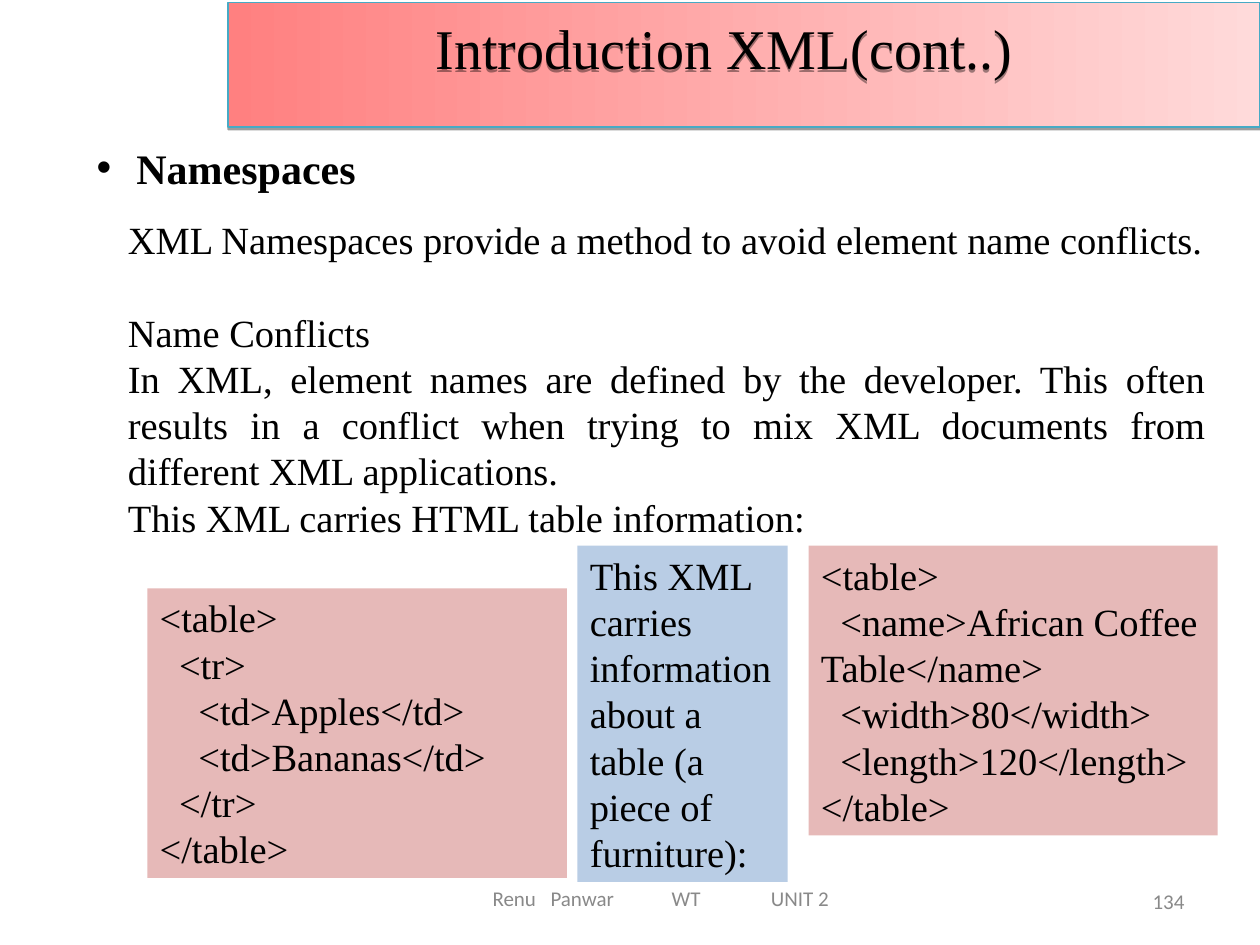
from lxml import etree
from pptx import Presentation
from pptx import util as u
from pptx.dml.color import RGBColor
from pptx.enum import shapes, text
from pptx.oxml.ns import qn

SERIF, SANS = "Times New Roman", "Calibri"
COLORS = {
    "ink": "000000", "muted": "898989", "pink": "E6B9B8", "blue": "B9CDE5",
    "banner_from": "FF8080", "banner_to": "FFDADA", "banner_edge": "46AAC5",
}
LEFT, CENTER, RIGHT, JUSTIFY = (text.PP_ALIGN.LEFT, text.PP_ALIGN.CENTER,
                                text.PP_ALIGN.RIGHT, text.PP_ALIGN.JUSTIFY)

TITLE = "Introduction XML(cont..)"
TOPIC = "Namespaces"
BODY = [
    ("XML Namespaces provide a method to avoid element name conflicts.", LEFT),
    ("Name Conflicts", JUSTIFY),
    ("In XML, element names are defined by the developer. This often results in "
     "a conflict when trying to mix XML documents from different XML applications.",
     JUSTIFY),
    ("This XML carries HTML table information:", JUSTIFY),
]
# Panels: (left, top, width, height) in cm, fill, lines as (nesting level, text)
PANELS = [
    ((2.97, 11.86, 8.46, 5.84), "pink", [
        (0, "<table>"), (1, "<tr>"), (2, "<td>Apples</td>"),
        (2, "<td>Bananas</td>"), (1, "</tr>"), (0, "</table>")]),
    ((11.64, 11, 4.24, 6.78), "blue", [
        (0, "This XML carries information about a table (a piece of furniture):")]),
    ((16.3, 11, 8.25, 5.84), "pink", [
        (0, "<table>"), (1, "<name>African Coffee Table</name>"),
        (1, "<width>80</width>"), (1, "<length>120</length>"), (0, "</table>")]),
]
FOOTER = ["Renu", "Panwar", "WT", "UNIT 2"]
FOOTER_TABS = [1.17, 3.61, 5.61]
PAGE_NUMBER = "134"
NESTING = 0.39
BODY_SIZE = 22
LINE_RATIO = 1.2


def rgb(name):
    return RGBColor.from_string(COLORS[name])


def cm_box(box):
    return [u.Cm(length) for length in box]


def write(frame, lines, size, font=SERIF, color="ink", bold=False):
    """Fill a text frame with (text, alignment) lines and return its paragraphs."""
    frame.word_wrap = True
    frame.auto_size = text.MSO_AUTO_SIZE.NONE
    for index, (line, alignment) in enumerate(lines):
        paragraph = frame.add_paragraph() if index else frame.paragraphs[0]
        paragraph.text = line
        paragraph.alignment = alignment
        if font == SERIF:
            paragraph.line_spacing = u.Pt(size * LINE_RATIO)
        paragraph.font.size = u.Pt(size)
        paragraph.font.name = font
        paragraph.font.bold = bold
        paragraph.font.color.rgb = rgb(color)
    return frame.paragraphs


def add_text(slide, box, lines, size, anchor=text.MSO_ANCHOR.TOP, **style):
    frame = slide.shapes.add_textbox(*cm_box(box)).text_frame
    frame.vertical_anchor = anchor
    return write(frame, lines, size, **style)


def drop_shadow(shape):
    shape.shadow.inherit = False
    effects = shape._element.spPr.find(qn("a:effectLst"))
    shadow = etree.SubElement(effects, qn("a:outerShdw"), blurRad="0",
                              dist=str(u.Pt(1.6)), dir="5400000", rotWithShape="0")
    color = etree.SubElement(shadow, qn("a:srgbClr"), val=COLORS["ink"])
    etree.SubElement(color, qn("a:alpha"), val="38000")


def add_rectangle(slide, box):
    rectangle = slide.shapes.add_shape(shapes.MSO_SHAPE.RECTANGLE, *cm_box(box))
    rectangle.shadow.inherit = False
    return rectangle


def add_banner(slide):
    banner = add_rectangle(slide, (4.6, 0.05, 20.8, 2.51))
    banner.fill.gradient()
    banner.fill.gradient_angle = 0
    for stop, name in zip(banner.fill.gradient_stops, ("banner_from", "banner_to")):
        stop.color.rgb = rgb(name)
    banner.line.color.rgb = rgb("banner_edge")
    banner.line.width = u.Pt(0.75)
    drop_shadow(banner)
    slide.shapes.title._element.addprevious(banner._element)


def add_title(slide):
    title = slide.shapes.title
    title.left, title.top, title.width, title.height = cm_box((3.81, 0, 21.59, 1.9))
    title.text_frame.vertical_anchor = text.MSO_ANCHOR.MIDDLE
    write(title.text_frame, [(TITLE, CENTER)], 32)
    drop_shadow(title)


def add_topic(slide):
    topic = add_text(slide, (1.7, 2.74, 18.21, 1.27), [(TOPIC, LEFT)], 24, bold=True)[0]
    properties = topic._p.get_or_add_pPr()
    properties.set("marL", str(u.Cm(0.8)))
    properties.set("indent", str(-u.Cm(0.8)))
    etree.SubElement(properties, qn("a:buFont"), typeface="Arial")
    etree.SubElement(properties, qn("a:buChar"), char="•")


def add_panel(slide, box, fill, lines):
    panel = add_rectangle(slide, box)
    panel.fill.solid()
    panel.fill.fore_color.rgb = rgb(fill)
    panel.line.fill.background()
    panel.text_frame.vertical_anchor = text.MSO_ANCHOR.TOP
    paragraphs = write(panel.text_frame, [(line, LEFT) for _, line in lines], BODY_SIZE)
    for paragraph, (level, _) in zip(paragraphs, lines):
        # Only the first line is indented; a wrapped line returns to the edge.
        properties = paragraph._p.get_or_add_pPr()
        properties.set("marL", "0")
        properties.set("indent", str(u.Cm(level * NESTING)))


def add_footer(slide):
    small = {"size": 12, "font": SANS, "color": "muted",
             "anchor": text.MSO_ANCHOR.MIDDLE}
    add_text(slide, (18.21, 17.65, 5.92, 1.02), [(PAGE_NUMBER, RIGHT)], **small)
    footer = slide.shapes.add_textbox(*cm_box((6.35, 17.6, 13.97, 1.02))).text_frame
    footer.vertical_anchor = small.pop("anchor")
    footer.margin_left = u.Cm(3.58)
    credit = write(footer, [("\t".join(FOOTER), LEFT)], **small)[0]
    tabs = etree.SubElement(credit._p.get_or_add_pPr(), qn("a:tabLst"))
    for position in FOOTER_TABS:
        etree.SubElement(tabs, qn("a:tab"), pos=str(u.Cm(position)), algn="l")


def main():
    deck = Presentation()
    deck.slide_width, deck.slide_height = u.Cm(25.4), u.Cm(19.05)
    slide = deck.slides.add_slide(deck.slide_layouts[5])
    add_banner(slide)
    add_title(slide)
    add_topic(slide)
    body = add_text(slide, (2.33, 4.24, 22.22, 7.72), BODY, BODY_SIZE)
    body[0].space_after = u.Pt(BODY_SIZE * LINE_RATIO)
    for panel in PANELS:
        add_panel(slide, *panel)
    add_footer(slide)
    deck.save("out.pptx")


if __name__ == "__main__":
    main()
